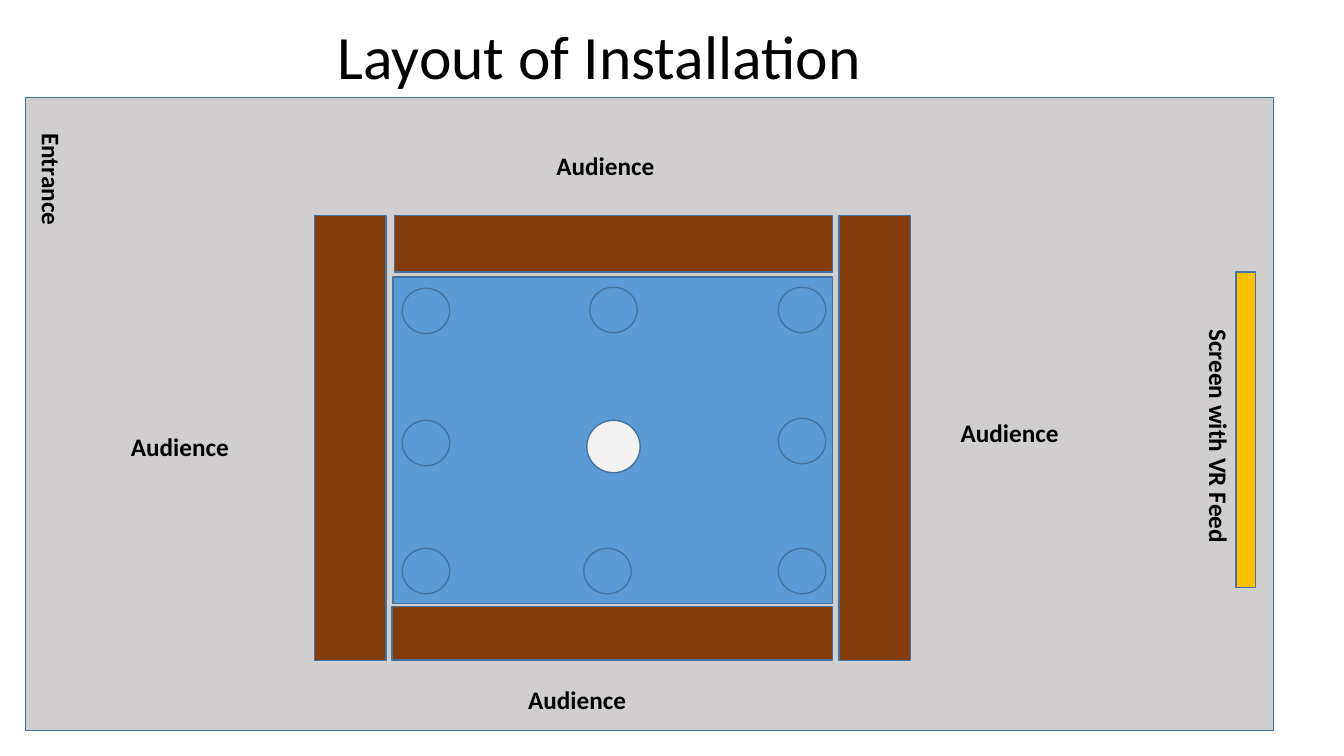
from dataclasses import dataclass

from pptx import Presentation
from pptx.dml.color import RGBColor
from pptx.enum.shapes import MSO_SHAPE
from pptx.enum.text import MSO_AUTO_SIZE
from pptx.util import Inches, Pt


@dataclass(frozen=True)
class Theme:
    font: str = "Calibri"
    title: int = 44
    label: int = 18
    edge: float = 1
    ink: str = "000000"
    line: str = "43739E"
    room: str = "D0CECE"
    stage: str = "5B9BD5"
    centre: str = "F2F2F2"
    bench: str = "843C0B"
    screen: str = "FFC000"


THEME = Theme()


def add_form(shapes, kind, box, fill):
    """Add an outlined shape; box is left, top, width, height in inches."""
    form = shapes.add_shape(kind, *map(Inches, box))
    form.shadow.inherit = False
    form.fill.solid()
    form.fill.fore_color.rgb = RGBColor.from_string(fill)
    form.line.color.rgb = RGBColor.from_string(THEME.line)
    form.line.width = Pt(THEME.edge)


def add_rect(shapes, box, fill):
    add_form(shapes, MSO_SHAPE.RECTANGLE, box, fill)


def add_disc(shapes, box, fill):
    add_form(shapes, MSO_SHAPE.OVAL, box, fill)


def add_label(shapes, text, box, size=THEME.label, bold=True, turn=0):
    label = shapes.add_textbox(*map(Inches, box))
    label.rotation = turn
    frame = label.text_frame
    frame.word_wrap = False
    frame.auto_size = MSO_AUTO_SIZE.SHAPE_TO_FIT_TEXT
    para = frame.paragraphs[0]
    para.text = text
    para.font.name = THEME.font
    para.font.size = Pt(size)
    para.font.bold = bold
    para.font.color.rgb = RGBColor.from_string(THEME.ink)


def add_stage(shapes):
    """Group the stage, its ring of eight spots and the centre spot."""
    parts = shapes.add_group_shape().shapes
    add_rect(parts, (3.9, 2.75, 4.36, 3.24), THEME.stage)
    spots = [
        (3.99, 2.86), (5.85, 2.85), (7.72, 2.85),
        (3.99, 4.17), (7.72, 4.15),
        (3.99, 5.44), (5.79, 5.44), (7.72, 5.44),
    ]
    for left, top in spots:
        add_disc(parts, (left, top, 0.47, 0.45), THEME.stage)
    add_disc(parts, (5.82, 4.17, 0.53, 0.52), THEME.centre)


def add_benches(shapes):
    for left in (3.12, 8.32):
        add_rect(shapes, (left, 2.14, 0.71, 4.41), THEME.bench)
    add_rect(shapes, (3.91, 2.14, 4.35, 0.56), THEME.bench)
    add_rect(shapes, (3.89, 6.02, 4.37, 0.53), THEME.bench)


def main():
    deck = Presentation()
    deck.slide_width, deck.slide_height = Inches(13.33), Inches(7.5)
    shapes = deck.slides.add_slide(deck.slide_layouts[6]).shapes

    add_rect(shapes, (0.25, 0.97, 12.38, 6.28), THEME.room)
    add_label(shapes, "Layout of Installation", (3.25, 0.13, 5.45, 0.84),
              THEME.title, bold=False)
    add_stage(shapes)
    add_benches(shapes)
    add_rect(shapes, (12.26, 2.7, 0.19, 3.13), THEME.screen)
    add_label(shapes, "Screen with VR Feed", (10.92, 4.14, 2.34, 0.4), turn=90)
    add_label(shapes, "Entrance", (-0.04, 1.58, 1.11, 0.4), turn=90)
    for left, top in ((5.42, 1.44), (1.2, 4.23), (5.14, 6.74), (9.43, 4.09)):
        add_label(shapes, "Audience", (left, top, 1.18, 0.4))

    deck.save("out.pptx")


if __name__ == "__main__":
    main()
